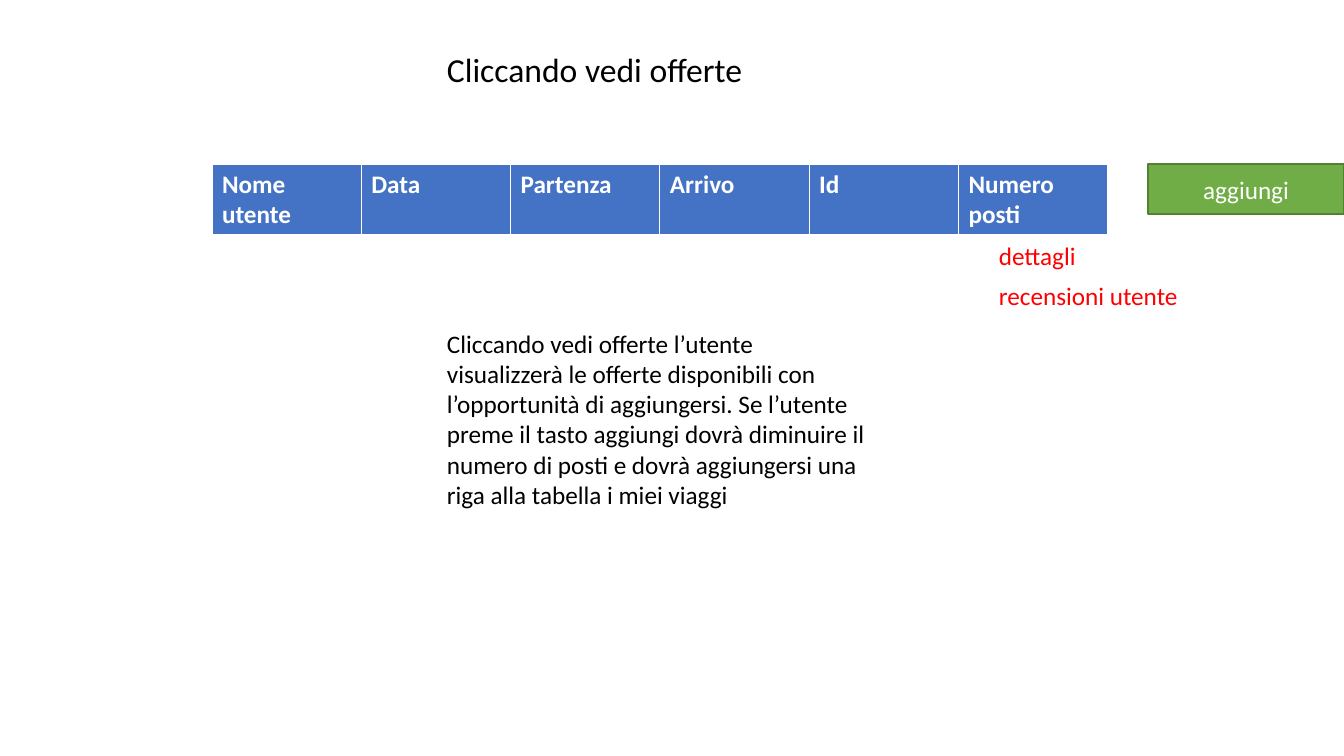
from dataclasses import dataclass

from lxml import etree
from pptx import Presentation
from pptx import util as u
from pptx.dml.color import RGBColor
from pptx.enum import shapes, text
from pptx.oxml import ns

EMU_PER_PX = 914400 / 100.8
FONT = "Calibri"
BLACK = RGBColor(0x00, 0x00, 0x00)
WHITE = RGBColor(0xFF, 0xFF, 0xFF)
RED = RGBColor(0xFF, 0x00, 0x00)
BLUE = RGBColor(0x44, 0x72, 0xC4)
GREEN = RGBColor(0x70, 0xAD, 0x47)
DARK_GREEN = RGBColor(0x53, 0x80, 0x35)

HEADERS = ["Nome utente", "Data", "Partenza", "Arrivo", "Id", "Numero posti"]
COL_W = 149.33
BORDERS = {"lnL": 1, "lnR": 1, "lnT": 1, "lnB": 3}


@dataclass
class Label:
    """A text box: place and size in pixels, wording and look."""
    x: int
    y: int
    w: int
    h: int
    words: str
    size: int = 18
    color: RGBColor = BLACK


LABELS = [
    Label(437, 44, 445, 50, "Cliccando vedi offerte", size=24),
    Label(437, 323, 445, 194,
          "Cliccando vedi offerte l’utente visualizzerà le offerte disponibili "
          "con l’opportunità di aggiungersi. Se l’utente preme il tasto aggiungi "
          "dovrà diminuire il numero di posti e dovrà aggiungersi una riga alla "
          "tabella i miei viaggi"),
    Label(989, 235, 427, 40, "dettagli", color=RED),
    Label(989, 275, 208, 40, "recensioni utente", color=RED),
]


def px(n: float) -> u.Emu:
    """Turn pixels into EMU."""
    return u.Emu(round(n * EMU_PER_PX))


def write(tf, words: str, color: RGBColor, size: int = 18, bold: bool = False) -> None:
    """Put one formatted run in the first paragraph."""
    r = tf.paragraphs[0].add_run()
    r.text = words
    for name, value in {"name": FONT, "size": u.Pt(size), "bold": bold}.items():
        setattr(r.font, name, value)
    r.font.color.rgb = color


def add_label(s, label: Label) -> None:
    """Draw a wrapping text box."""
    sp = s.shapes.add_textbox(*map(px, (label.x, label.y, label.w, label.h)))
    tf = sp.text_frame
    tf.word_wrap = True
    tf.auto_size = text.MSO_AUTO_SIZE.SHAPE_TO_FIT_TEXT
    write(tf, label.words, label.color, label.size)


def add_button(s) -> None:
    """Draw the green button."""
    sp = s.shapes.add_shape(shapes.MSO_SHAPE.RECTANGLE, *map(px, (1148, 164, 196, 50)))
    sp.shadow.inherit = False
    sp.fill.solid()
    sp.fill.fore_color.rgb = GREEN
    sp.line.color.rgb = DARK_GREEN
    sp.line.width = u.Pt(1)
    tf = sp.text_frame
    tf.vertical_anchor = text.MSO_ANCHOR.MIDDLE
    tf.paragraphs[0].alignment = text.PP_ALIGN.CENTER
    write(tf, "aggiungi", WHITE)


def add_borders(cell) -> None:
    """Give a cell its white borders."""
    tc_pr = cell._tc.get_or_add_tcPr()
    for i, (tag, width) in enumerate(BORDERS.items()):
        ln = etree.Element(ns.qn(f"a:{tag}"), w=str(u.Pt(width)))
        fill = etree.SubElement(ln, ns.qn("a:solidFill"))
        etree.SubElement(fill, ns.qn("a:srgbClr"), val=str(WHITE))
        tc_pr.insert(i, ln)


def add_offers_table(s) -> None:
    """Draw the header row of the offers table."""
    frame = s.shapes.add_table(1, len(HEADERS), px(212), px(164),
                               px(COL_W * len(HEADERS)), px(70))
    table = frame.table
    for col, cell, header in zip(table.columns, table.rows[0].cells, HEADERS):
        col.width = px(COL_W)
        cell.fill.solid()
        cell.fill.fore_color.rgb = BLUE
        add_borders(cell)
        write(cell.text_frame, header, WHITE, bold=True)


prs = Presentation()
prs.slide_width, prs.slide_height = px(1344), px(756)
s = prs.slides.add_slide(prs.slide_layouts[6])
add_button(s)
add_offers_table(s)
for label in LABELS:
    add_label(s, label)
prs.save("out.pptx")
